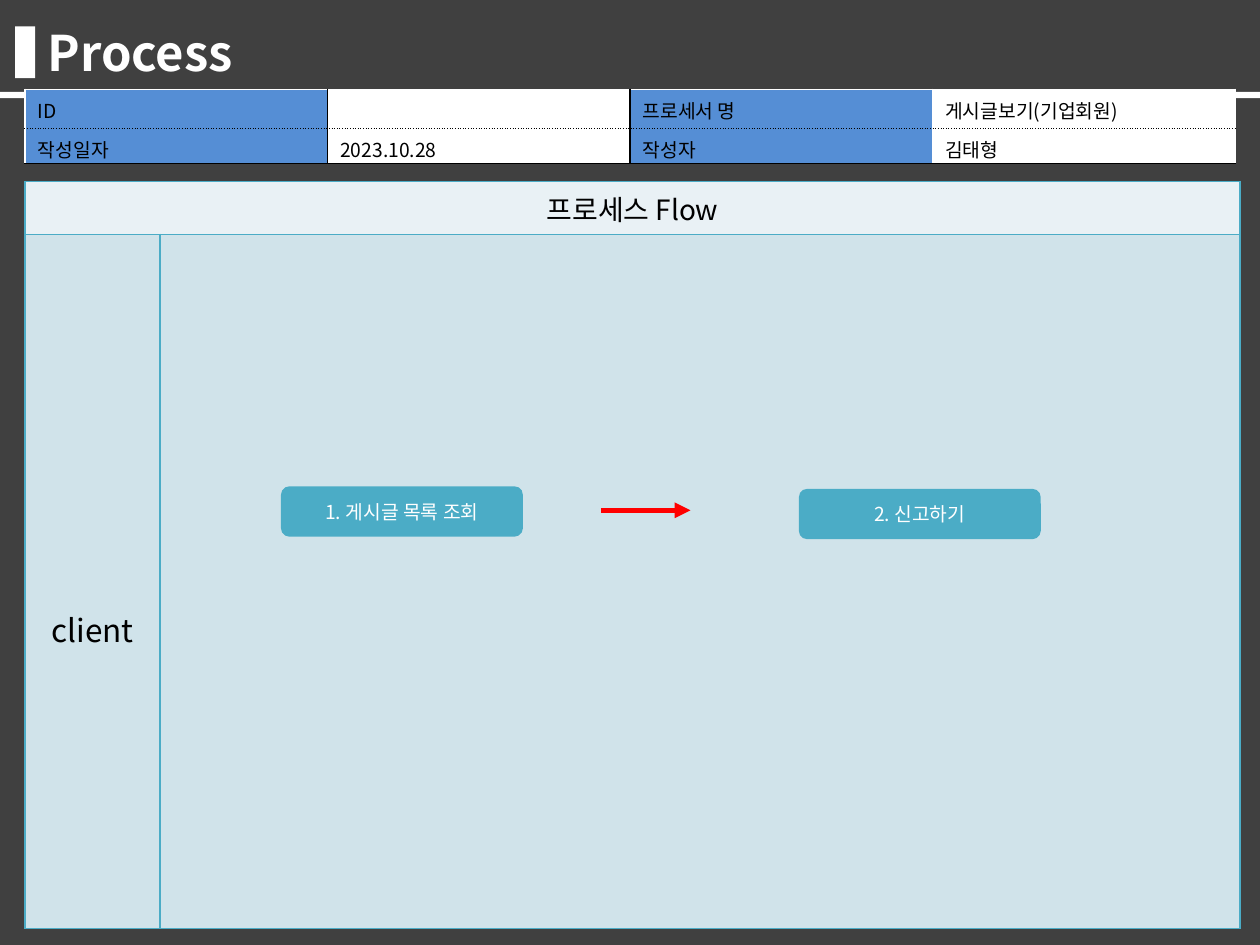
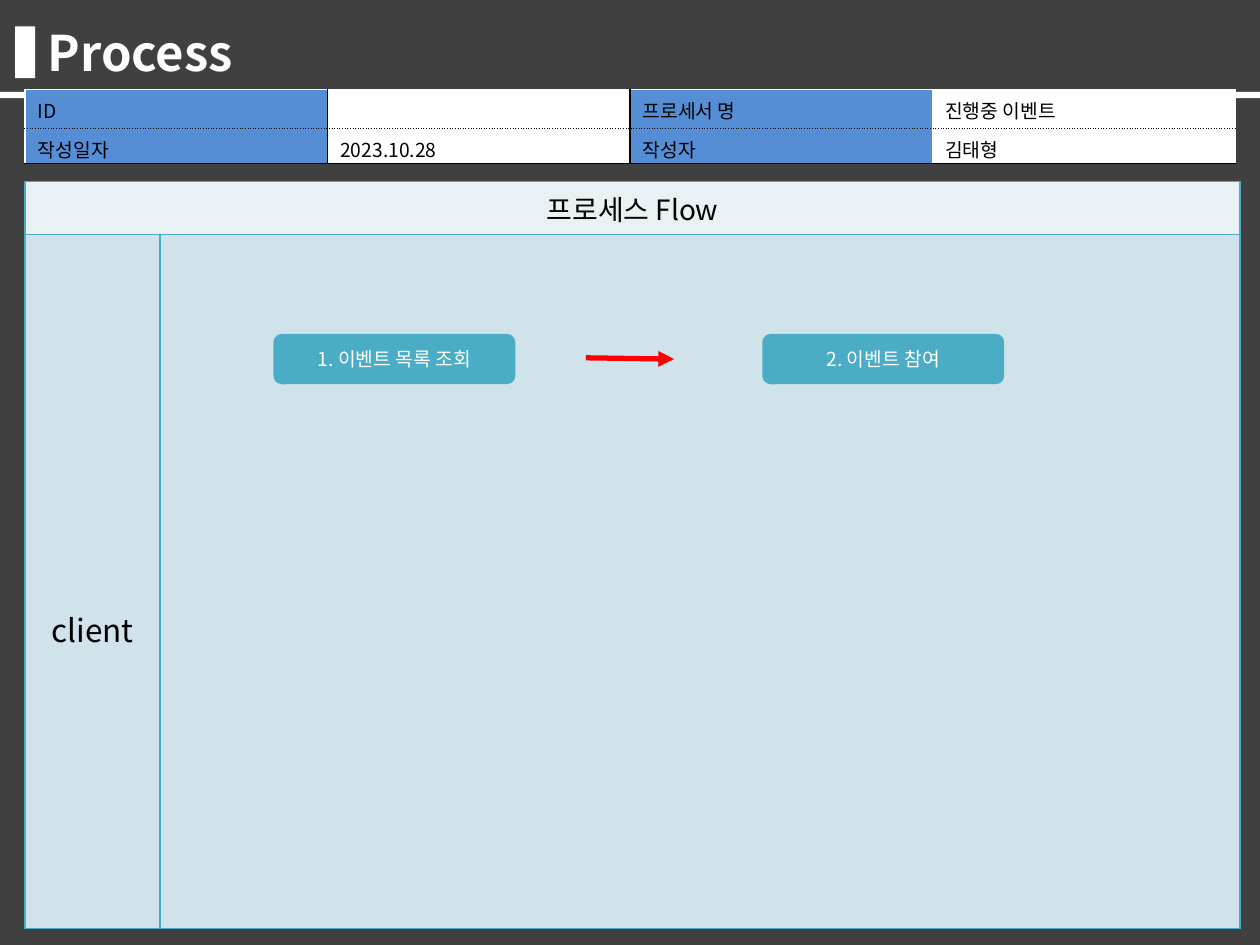
from itertools import pairwise
from lxml.etree import SubElement
from pptx import Presentation
from pptx.dml.color import RGBColor
from pptx.enum.shapes import MSO_CONNECTOR as Connector, MSO_SHAPE as Shape
from pptx.enum.text import MSO_ANCHOR as Anchor, PP_ALIGN as Align
from pptx.oxml.ns import qn
from pptx.util import Inches, Pt

COLUMNS, ROWS = 100, 75
UNIT = Inches(0.1)
FONT = "Noto Sans CJK KR"
DARK, WHITE, BLACK = "404040", "FFFFFF", "000000"
LABEL_BLUE, TEAL, RED = "558ED5", "4BACC6", "FF0000"
HEADER_TINT, LANE_TINT = "E9F1F5", "D0E3EA"

TITLE = {"size": Pt(28), "bold": True}
SMALL = {"size": Pt(11)}
HEADER = {"size": Pt(16)}
LANE = {"size": Pt(18)}

STEP_SIZE = (19.2, 4)
PROCESSES = [
    {
        "name": "게시글보기(기업회원)",
        "steps": [("1. 게시글 목록 조회", 22.3, 38.6), ("2. 신고하기", 63.4, 38.8)],
        "arrow": (47.7, 40.5, 54.8, 40.5),
    },
    {
        "name": "진행중 이벤트",
        "steps": [("1. 이벤트 목록 조회", 21.7, 26.5), ("2. 이벤트 참여", 60.5, 26.5)],
        "arrow": (46.5, 28.4, 53.5, 28.5),
    },
]


def grid(*cells):
    return [round(cell * UNIT) for cell in cells]


def color(hex_code):
    return RGBColor.from_string(hex_code)


def apply(target, values):
    for attribute, value in values.items():
        setattr(target, attribute, value)


def write(frame, text, style, ink, align=Align.LEFT):
    paragraph = frame.paragraphs[0]
    paragraph.alignment = align
    if not text:
        SubElement(paragraph._p, qn("a:endParaRPr"), sz=str(int(style["size"].pt * 100)))
        return
    run = paragraph.add_run()
    run.text = text
    apply(run.font, {"name": FONT, **style})
    run.font.color.rgb = color(ink)
    SubElement(run._r.get_or_add_rPr(), qn("a:ea"), typeface=FONT)


def add_block(slide, area, fill, kind=Shape.RECTANGLE):
    block = slide.shapes.add_shape(kind, *grid(*area))
    block.shadow.inherit = False
    block.fill.solid()
    block.fill.fore_color.rgb = color(fill)
    block.line.fill.background()
    return block


def add_title(slide, text):
    title = slide.shapes.add_textbox(*grid(2.8, 1.3, 89.8, 5.7))
    apply(title.text_frame, {"word_wrap": True, "vertical_anchor": Anchor.MIDDLE})
    write(title.text_frame, text, TITLE, WHITE)


def add_step(slide, text, left, top):
    step = add_block(slide, (left, top, *STEP_SIZE), TEAL, Shape.ROUNDED_RECTANGLE)
    apply(step.text_frame, {"word_wrap": True, "vertical_anchor": Anchor.MIDDLE})
    write(step.text_frame, text, SMALL, WHITE, Align.CENTER)


def add_arrow(slide, ends):
    arrow = slide.shapes.add_connector(Connector.STRAIGHT, *grid(*ends))
    arrow.line.color.rgb = color(RED)
    arrow.line.width = Pt(3)
    SubElement(arrow.line._get_or_add_ln(), qn("a:tailEnd"), type="triangle")
    SubElement(arrow._element.spPr, qn("a:effectLst"))


def add_grid_table(slide, left, top, widths, heights):
    area = grid(left, top, sum(widths), sum(heights))
    table = slide.shapes.add_table(len(heights), len(widths), *area).table
    apply(table, {"first_row": False, "horz_banding": False})
    for column, width in zip(table.columns, grid(*widths)):
        column.width = width
    for row, height in zip(table.rows, grid(*heights)):
        row.height = height
    return table


def format_cell(cell, fill, borders):
    properties = cell._tc.get_or_add_tcPr()
    for side, (ink, dash) in zip("LRTB", borders):
        edge = SubElement(properties, qn(f"a:ln{side}"), w=str(Pt(1)))
        solid = SubElement(edge, qn("a:solidFill"))
        SubElement(solid, qn("a:srgbClr"), val=ink)
        SubElement(edge, qn("a:prstDash"), val=dash)
    cell.fill.solid()
    cell.fill.fore_color.rgb = color(fill)


def add_info_table(slide, process_name):
    entries = [
        ["ID", "", "프로세서 명", process_name],
        ["작성일자", "2023.10.28", "작성자", "김태형"],
    ]
    white, black, dotted = (WHITE, "solid"), (BLACK, "solid"), (BLACK, "sysDot")
    vertical_edges = list(pairwise([white, black, black, white, white]))
    horizontal_edges = list(pairwise([white, dotted, black]))
    table = add_grid_table(slide, 2, 7.1, [24] * 4, [3.1, 2.8])
    for r, row in enumerate(entries):
        for c, text in enumerate(row):
            cell = table.cell(r, c)
            fill = WHITE if c % 2 else LABEL_BLUE
            format_cell(cell, fill, vertical_edges[c] + horizontal_edges[r])
            cell.margin_bottom = 0
            write(cell.text_frame, text, SMALL, BLACK)


def add_flow_table(slide):
    table = add_grid_table(slide, 2, 14.4, [10.7, 85.7], [4.2, 55.1])
    for r, fill in enumerate([HEADER_TINT, LANE_TINT]):
        for c in range(2):
            format_cell(table.cell(r, c), fill, [(TEAL, "solid")] * 4)
    header, lane = table.cell(0, 0), table.cell(1, 0)
    header.merge(table.cell(0, 1))
    write(header.text_frame, "프로세스 Flow", HEADER, BLACK, Align.CENTER)
    lane.margin_top = grid(29.5)[0]
    write(lane.text_frame, "client", LANE, BLACK, Align.CENTER)


def add_frame(slide):
    add_block(slide, (0, 0, COLUMNS, ROWS), DARK)
    add_title(slide, "Process")
    add_block(slide, (1.2, 2.1, 1.6, 4.1), WHITE)
    add_block(slide, (0, 7.3, COLUMNS, 0.5), WHITE)


def main():
    deck = Presentation()
    apply(deck, {"slide_width": COLUMNS * UNIT, "slide_height": ROWS * UNIT})
    for process in PROCESSES:
        slide = deck.slides.add_slide(deck.slide_layouts[6])
        add_frame(slide)
        add_info_table(slide, process["name"])
        add_flow_table(slide)
        for step in reversed(process["steps"]):
            add_step(slide, *step)
        add_arrow(slide, process["arrow"])
    deck.save("out.pptx")


if __name__ == "__main__":
    main()
